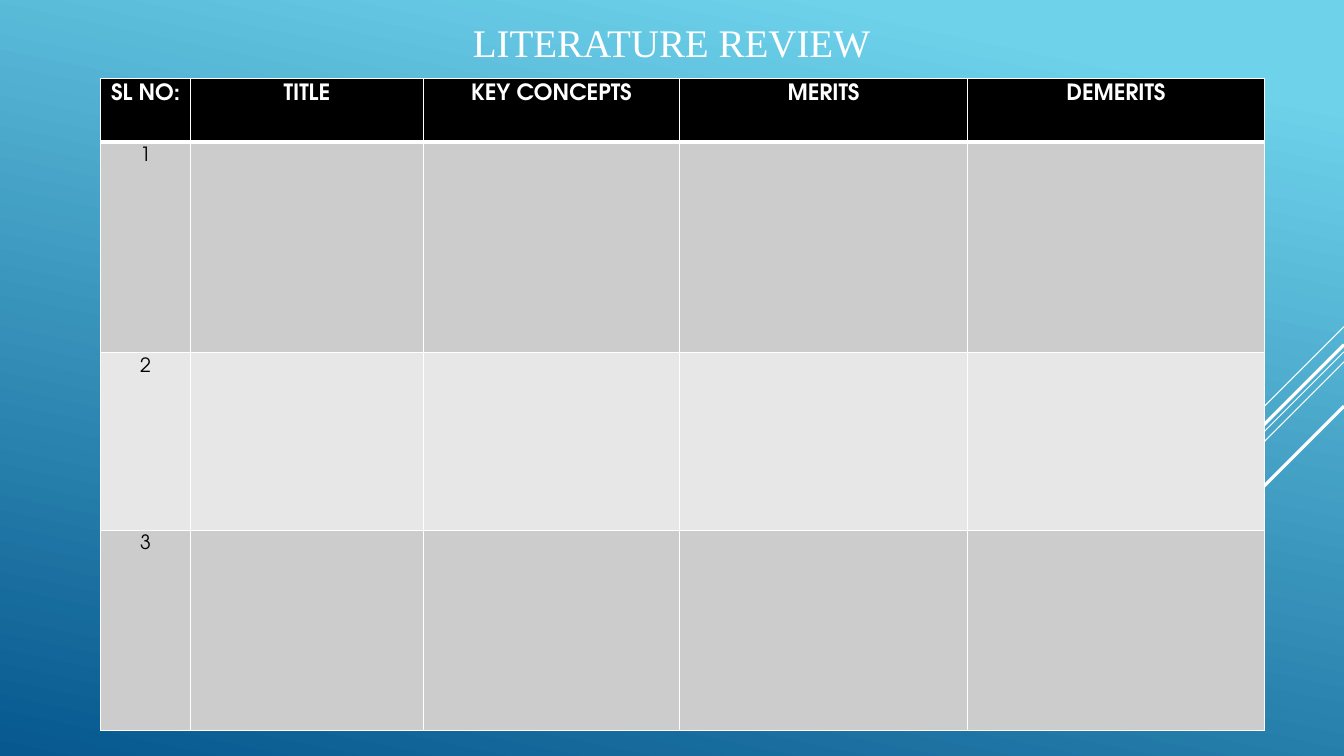
from lxml import etree
from pptx import Presentation
from pptx.dml.color import RGBColor
from pptx.enum.shapes import MSO_CONNECTOR
from pptx.enum.text import MSO_ANCHOR, MSO_AUTO_SIZE, PP_ALIGN
from pptx.oxml.ns import qn
from pptx.util import Inches, Pt

CENTER, MIDDLE, TOP = PP_ALIGN.CENTER, MSO_ANCHOR.MIDDLE, MSO_ANCHOR.TOP
STRAIGHT, NO_FIT = MSO_CONNECTOR.STRAIGHT, MSO_AUTO_SIZE.NONE
TITLE_ONLY = 5

# Content
TITLE = "LITERATURE REVIEW"
ROWS = [
    ["SL NO:", "TITLE", "KEY CONCEPTS", "MERITS", "DEMERITS"],
    ["1", "", "", "", ""],
    ["2", "", "", "", ""],
    ["3", "", "", "", ""],
]

# Layout in inches
WIDTH, HEIGHT = 13.33, 7.5
TITLE_BOX = (0.91, 0.08, 11.5, 0.67)
TABLE_LEFT, TABLE_TOP = 1, 0.78
COL_WIDTHS = [0.89, 2.31, 2.54, 2.86, 2.94]
ROW_HEIGHTS = [0.63, 2.09, 1.76, 1.99]
CELL_MARGINS = {"margin_left": Inches(0.07), "margin_right": Inches(0.07),
                "margin_top": Inches(0.05), "margin_bottom": Inches(0.05)}
# Diagonals from the right edge: start height, run (equal across and down), weight
DIAGONALS = [(3.24, 1, 0.75), (3.49, 3.26, 0.75), (3.59, 2.07, 0.75),
             (3.42, 1.91, 2.25), (4.03, 1.39, 2.25)]

THEME = {
    "line": "FFFFFF",
    "gradient": [(0.1, "6ED2EB"), (1, "06588E")],
    "gradient_angle": 360 - 102,
    "header_fill": "000000",
    "bands": ["CCCCCC", "E7E7E7"],
    "border": 1,
    "header_border": 3,
    "title": {"name": "Times New Roman", "size": Pt(27.9), "bold": False, "color": "FFFFFF"},
    "header": {"name": "TeX Gyre Adventor", "size": Pt(16), "bold": True, "color": "FFFFFF"},
    "body": {"name": "TeX Gyre Adventor", "size": Pt(14), "bold": False, "color": "000000"},
}


def set_attrs(obj, **values):
    """Set each named attribute on an object."""
    for name, value in values.items():
        setattr(obj, name, value)


def write(tf, text, style):
    """Write one centred paragraph in a theme style."""
    p = tf.paragraphs[0]
    p.alignment = CENTER
    r = p.add_run()
    r.text = text
    set_attrs(r.font, **{k: v for k, v in style.items() if k != "color"})
    r.font.color.rgb = RGBColor.from_string(style["color"])


def paint_background(s):
    """Fill the slide with the theme gradient."""
    fill = s.background.fill
    fill.gradient()
    fill.gradient_angle = THEME["gradient_angle"]
    for stop, (position, color) in zip(fill.gradient_stops, THEME["gradient"]):
        stop.position = position
        stop.color.rgb = RGBColor.from_string(color)


def add_diagonal(s, top, run, weight):
    """Draw a 45 degree line down and left from the right edge."""
    ends = (WIDTH, top, WIDTH - run, top + run)
    line = s.shapes.add_connector(STRAIGHT, *map(Inches, ends))
    line.line.color.rgb = RGBColor.from_string(THEME["line"])
    line.line.width = Pt(weight)
    etree.SubElement(line._element.spPr, qn("a:effectLst"))


def add_title(s):
    """Place and write the title placeholder."""
    sp = s.shapes.title
    set_attrs(sp, **dict(zip(("left", "top", "width", "height"), map(Inches, TITLE_BOX))))
    set_attrs(sp.text_frame, vertical_anchor=MIDDLE, word_wrap=True, auto_size=NO_FIT)
    write(sp.text_frame, TITLE, THEME["title"])


def set_borders(cell, **weights):
    """Give a cell solid borders, keyed by side letter, in points."""
    tcPr = cell._tc.get_or_add_tcPr()
    for side, weight in weights.items():
        ln = etree.SubElement(tcPr, qn("a:ln" + side), w=str(Pt(weight)))
        fill = etree.SubElement(ln, qn("a:solidFill"))
        etree.SubElement(fill, qn("a:srgbClr"), val=THEME["line"])


def add_review_table(s):
    """Build the review table with a dark header and banded rows."""
    size = (sum(COL_WIDTHS), sum(ROW_HEIGHTS))
    table = s.shapes.add_table(len(ROWS), len(COL_WIDTHS),
                               *map(Inches, (TABLE_LEFT, TABLE_TOP, *size))).table
    for col, width in zip(table.columns, COL_WIDTHS):
        col.width = Inches(width)
    for row, height in zip(table.rows, ROW_HEIGHTS):
        row.height = Inches(height)
    thin, thick = THEME["border"], THEME["header_border"]
    for i, texts in enumerate(ROWS):
        color = THEME["bands"][(i - 1) % 2] if i else THEME["header_fill"]
        for j, text in enumerate(texts):
            cell = table.cell(i, j)
            set_attrs(cell, vertical_anchor=TOP, **CELL_MARGINS)
            set_borders(cell, L=thin, R=thin, T=thick if i == 1 else thin,
                        B=thick if i == 0 else thin)
            cell.fill.solid()
            cell.fill.fore_color.rgb = RGBColor.from_string(color)
            if text:
                write(cell.text_frame, text, THEME["body" if i else "header"])


prs = Presentation()
prs.slide_width, prs.slide_height = Inches(WIDTH), Inches(HEIGHT)
s = prs.slides.add_slide(prs.slide_layouts[TITLE_ONLY])
paint_background(s)
for diagonal in DIAGONALS:
    add_diagonal(s, *diagonal)
add_title(s)
add_review_table(s)
prs.save("out.pptx")
